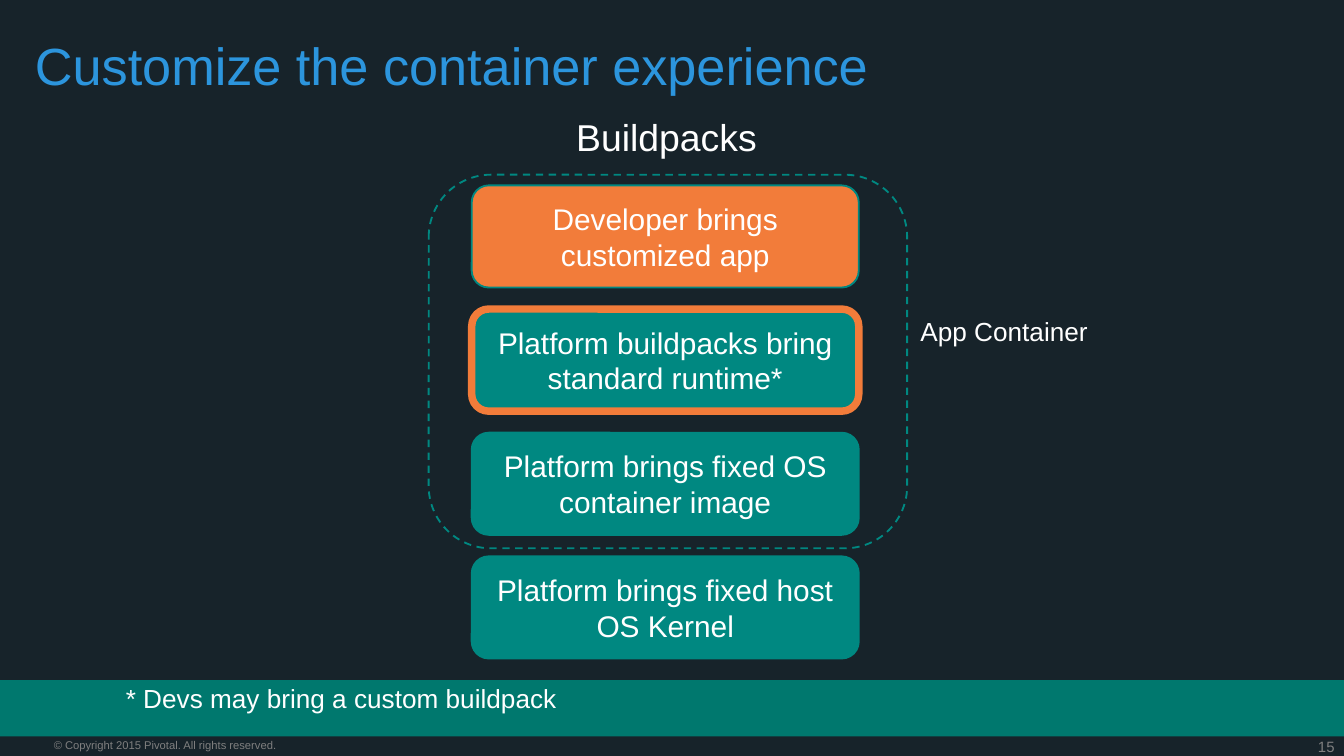
"""Build a slide showing the layers of an app container and who brings each one."""
from dataclasses import dataclass

from pptx import Presentation
from pptx.dml.color import RGBColor
from pptx.enum import dml, shapes, text
from pptx.util import Inches, Pt


@dataclass(frozen=True)
class Theme:
    font: str = "Arial"
    background: str = "17232A"
    band: str = "00786E"
    teal: str = "008881"
    orange: str = "F27C3A"
    blue: str = "2C95DD"
    white: str = "FFFFFF"
    grey: str = "7F7F7F"
    title: int = 28
    heading: int = 20
    layer: int = 16
    note: int = 14
    page_number: int = 8
    copyright: int = 6


THEME = Theme()
ALIGN = text.PP_ALIGN
LAYER_LEFT, LAYER_TOP, LAYER_PITCH = 3.51, 1.38, 0.92
LAYER_WIDTH, LAYER_HEIGHT = 2.88, 0.76
LAYERS = [
    ("Developer brings customized app", THEME.orange, THEME.teal, 1),
    ("Platform buildpacks bring standard runtime*", THEME.teal, THEME.orange, 4),
    ("Platform brings fixed OS container image", THEME.teal, THEME.teal, 1),
    ("Platform brings fixed host OS Kernel", THEME.teal, THEME.teal, 1),
]


def write(box, words, size, color, align=ALIGN.LEFT):
    box.text_frame.text = words
    para = box.text_frame.paragraphs[0]
    para.alignment = align
    para.font.name = THEME.font
    para.font.size = Pt(size)
    para.font.color.rgb = RGBColor.from_string(color)
    return para


def add_box(page, kind, area, fill=None, line=None, width=1):
    box = page.shapes.add_shape(kind, *map(Inches, area))
    box.shadow.inherit = False
    if fill:
        box.fill.solid()
        box.fill.fore_color.rgb = RGBColor.from_string(fill)
    else:
        box.fill.background()
    if line:
        box.line.color.rgb = RGBColor.from_string(line)
        box.line.width = Pt(width)
    else:
        box.line.fill.background()
    return box


def set_margins(frame, inset):
    frame.margin_left = frame.margin_right = Inches(inset)
    frame.margin_top = frame.margin_bottom = Inches(inset)


def add_label(page, area, words, size, align=ALIGN.LEFT, wrap=True):
    box = page.shapes.add_textbox(*map(Inches, area))
    box.text_frame.word_wrap = wrap
    box.text_frame.auto_size = text.MSO_AUTO_SIZE.SHAPE_TO_FIT_TEXT
    write(box, words, size, THEME.white, align)


def add_small_print(page, area, words, size, align=ALIGN.LEFT):
    box = page.shapes.add_textbox(*map(Inches, area))
    box.text_frame.word_wrap = True
    set_margins(box.text_frame, 0)
    write(box, words, size, THEME.grey, align)


def set_title(page, words):
    title = page.shapes.title
    title.left, title.top, title.width, title.height = map(Inches, (0.16, 0.2, 9.2, 0.5))
    frame = title.text_frame
    set_margins(frame, 0.1)
    frame.word_wrap = True
    frame.auto_size = text.MSO_AUTO_SIZE.NONE
    frame.vertical_anchor = text.MSO_ANCHOR.TOP
    write(title, words, THEME.title, THEME.blue).line_spacing = 0.9


def add_layers(page):
    for row, (words, fill, line, width) in enumerate(LAYERS):
        area = (LAYER_LEFT, LAYER_TOP + row * LAYER_PITCH, LAYER_WIDTH, LAYER_HEIGHT)
        layer = add_box(page, shapes.MSO_SHAPE.ROUNDED_RECTANGLE, area, fill, line, width)
        layer.text_frame.word_wrap = True
        layer.text_frame.vertical_anchor = text.MSO_ANCHOR.MIDDLE
        write(layer, words, THEME.layer, THEME.white, ALIGN.CENTER)


def add_footer(page):
    add_box(page, shapes.MSO_SHAPE.RECTANGLE, (0, 5.06, 10, 0.42), THEME.band)
    add_small_print(page, (9.35, 5.49, 0.58, 0.14), "15", THEME.page_number, ALIGN.RIGHT)
    add_small_print(page, (0.4, 5.49, 2.49, 0.1),
                    "© Copyright 2015 Pivotal. All rights reserved.", THEME.copyright)


def main():
    deck = Presentation()
    deck.slide_width = Inches(10)
    deck.slide_height = deck.slide_width * 9 // 16
    page = deck.slides.add_slide(deck.slide_layouts.get_by_name("Title Only"))
    page.background.fill.solid()
    page.background.fill.fore_color.rgb = RGBColor.from_string(THEME.background)

    set_title(page, "Customize the container experience")
    add_footer(page)
    container = add_box(page, shapes.MSO_SHAPE.ROUNDED_RECTANGLE,
                        (3.19, 1.3, 3.56, 2.78), line=THEME.teal)
    container.line.dash_style = dml.MSO_LINE.DASH
    add_layers(page)
    add_label(page, (4.18, 0.8, 1.56, 0.44), "Buildpacks", THEME.heading,
              ALIGN.CENTER, wrap=False)
    add_label(page, (0.34, 5.03, 4.4, 0.4), "* Devs may bring a custom buildpack",
              THEME.note, ALIGN.CENTER)
    add_label(page, (6.75, 2.3, 1.46, 0.34), "App Container", THEME.note, wrap=False)
    deck.save("out.pptx")


if __name__ == "__main__":
    main()
